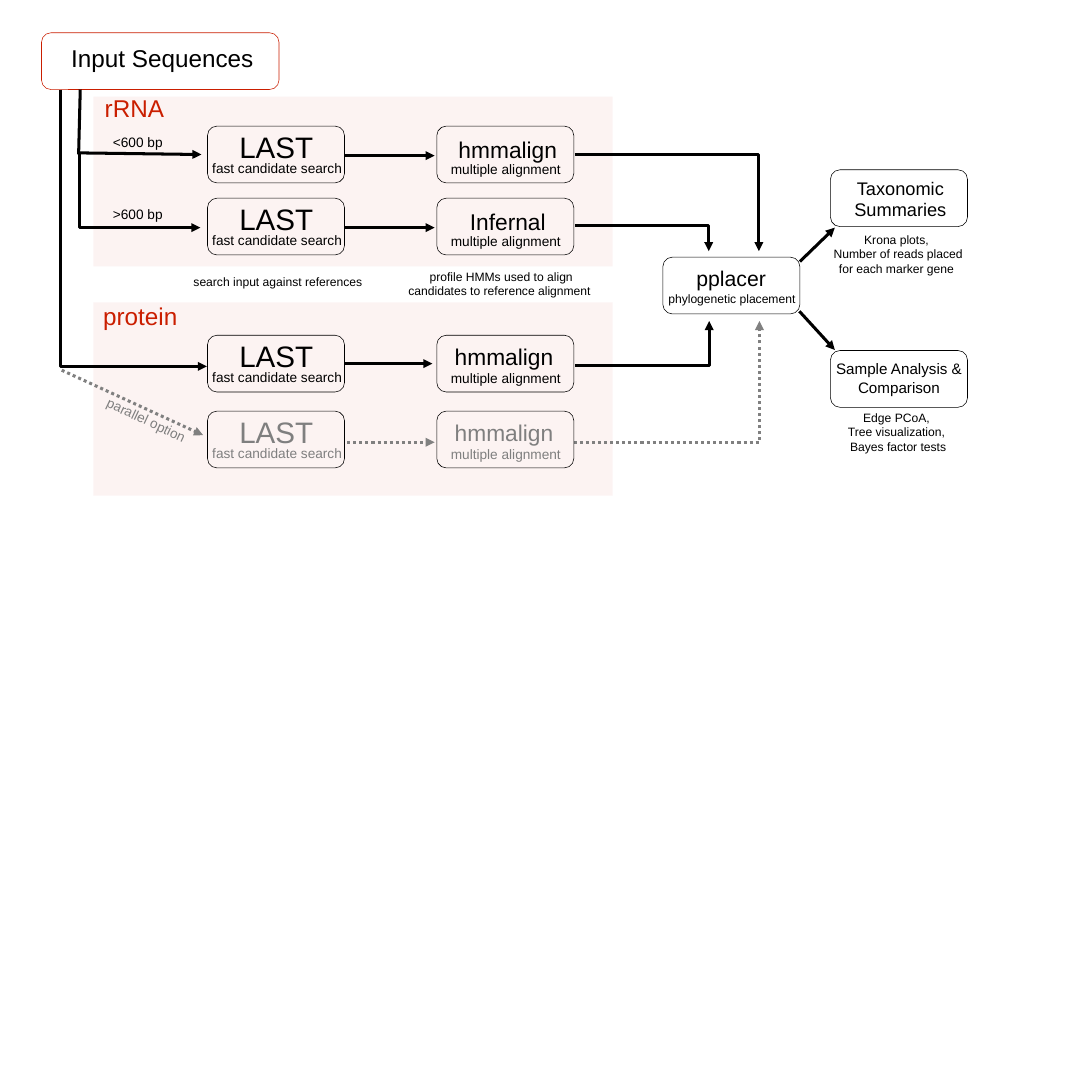
from dataclasses import dataclass
from typing import Any

from lxml import etree
from pptx import Presentation
from pptx.dml.color import RGBColor
from pptx.enum.dml import MSO_LINE
from pptx.enum.shapes import MSO_CONNECTOR, MSO_SHAPE
from pptx.enum.text import MSO_ANCHOR, MSO_AUTO_SIZE, PP_ALIGN
from pptx.oxml.ns import qn
from pptx.util import Inches, Pt

RECTANGLE, ROUNDED = MSO_SHAPE.RECTANGLE, MSO_SHAPE.ROUNDED_RECTANGLE
STRAIGHT, ELBOW = MSO_CONNECTOR.STRAIGHT, MSO_CONNECTOR.ELBOW
LEFT, CENTER = PP_ALIGN.LEFT, PP_ALIGN.CENTER
DOTTED = MSO_LINE.ROUND_DOT
TITLE_ONLY = 5
BOX_WIDTH, BOX_HEIGHT = 2.51, 1.04
SEARCH_LEFT, ALIGN_LEFT = 3.8, 8.0


@dataclass(frozen=True)
class Theme:
    """Colours, font, type sizes and line widths of the diagram."""
    font: str = "Arial"
    black: str = "000000"
    red: str = "CA1E00"
    grey_text: str = "7F7F7F"
    grey_line: str = "808080"
    tint: int = 5
    section: int = 32
    search: int = 39
    aligner: int = 30
    placer: int = 28
    summary: int = 24
    analysis: int = 20
    caption: int = 18
    note: int = 16
    outline: float = 0.75
    flow: float = 4


THEME = Theme()


@dataclass(frozen=True)
class Area:
    """A rectangle in inches."""
    left: float
    top: float
    width: float
    height: float

    def lengths(self) -> list[int]:
        """Return the rectangle as slide lengths."""
        return [Inches(value) for value in (self.left, self.top, self.width, self.height)]


@dataclass(frozen=True)
class Label:
    """Text set in one size and colour."""
    area: Area
    lines: tuple[str, ...]
    size: int
    color: str = THEME.black
    align: PP_ALIGN = CENTER
    rotation: float = 0


@dataclass(frozen=True)
class Lane:
    """A search box followed by an aligner box."""
    top: float
    aligner: str
    shift: float
    drop: float
    color: str = THEME.black


@dataclass(frozen=True)
class Flow:
    """A line between two points; bend is the share of the width before the turn."""
    start: tuple[float, float]
    end: tuple[float, float]
    bend: float | None = None
    dotted: bool = False
    arrow: bool = True


BANDS = [Area(1.71, 1.77, 9.51, 3.11), Area(1.71, 5.54, 9.51, 3.54)]

LANES = [
    Lane(2.31, "hmmalign", 0.19, 0.13),
    Lane(3.63, "Infernal", 0.19, 0.13),
    Lane(6.14, "hmmalign", 0.12, 0.09),
    Lane(7.53, "hmmalign", 0.12, 0.09, THEME.grey_text),
]

RESULT_BOXES = [Area(left, top, BOX_WIDTH, BOX_HEIGHT)
                for left, top in ((12.14, 4.71), (15.21, 3.11), (15.21, 6.42))]

TITLE = Label(Area(1.05, 0.74, 3.85, 0.64), ("Input Sequences",), THEME.section)

LABELS = [
    Label(Area(1.82, 1.65, 1.5, 0.64), ("rRNA",), THEME.section, THEME.red, LEFT),
    Label(Area(1.79, 5.46, 1.88, 0.64), ("protein",), THEME.section, THEME.red, LEFT),
    Label(Area(1.97, 2.4, 1.43, 0.4), ("<600 bp",), THEME.caption, align=LEFT),
    Label(Area(1.97, 3.73, 1.43, 0.4), (">600 bp",), THEME.caption, align=LEFT),
    Label(Area(1.8, 7.51, 1.86, 0.4), ("parallel option",), THEME.caption,
          THEME.grey_text, LEFT, 25.1),
    Label(Area(3.12, 4.98, 3.94, 0.64), ("search input against references",), THEME.note),
    Label(Area(7.26, 4.88, 3.84, 0.64),
          ("profile HMMs used to align candidates to reference alignment ",), THEME.note),
    Label(Area(12.28, 4.81, 2.22, 0.57), ("pplacer",), THEME.placer),
    Label(Area(12.06, 5.28, 2.69, 0.37), ("phylogenetic placement",), THEME.note),
    Label(Area(15.38, 3.19, 2.22, 0.91), ("Taxonomic Summaries",), THEME.summary),
    Label(Area(15.21, 6.54, 2.51, 0.77), ("Sample Analysis & Comparison",), THEME.analysis),
    Label(Area(15.08, 4.2, 2.74, 1.18),
          ("Krona plots, ", "Number of reads placed for each marker gene "), THEME.note),
    Label(Area(15.08, 7.46, 2.74, 1.18),
          ("Edge PCoA, ", "Tree visualization, ", "Bayes factor tests"), THEME.note),
]

FLOWS = [
    Flow((1.11, 1.64), (3.79, 6.71), bend=0),
    Flow((1.47, 1.64), (1.44, 2.83), arrow=False),
    Flow((1.44, 2.8), (3.69, 2.83)),
    Flow((1.45, 2.8), (3.67, 4.17), bend=0),
    Flow((1.13, 6.78), (3.72, 7.97), dotted=True),
    Flow((6.31, 2.85), (7.96, 2.85)),
    Flow((6.31, 4.17), (7.96, 4.17)),
    Flow((6.31, 6.66), (7.92, 6.66)),
    Flow((6.36, 8.1), (7.96, 8.1), dotted=True),
    Flow((10.53, 2.83), (13.9, 4.6), bend=1),
    Flow((10.53, 4.13), (12.98, 4.6), bend=1),
    Flow((10.53, 6.7), (12.99, 5.88), bend=1),
    Flow((10.51, 8.11), (13.91, 5.88), bend=1, dotted=True),
    Flow((14.65, 4.79), (15.29, 4.17)),
    Flow((14.64, 5.7), (15.29, 6.41)),
]


def draw_band(shapes: Any, area: Area) -> None:
    """Draw a pale red background band."""
    band = shapes.add_shape(RECTANGLE, *area.lengths())
    band.shadow.inherit = False
    band.line.fill.background()
    band.fill.solid()
    band.fill.fore_color.rgb = RGBColor.from_string(THEME.red)
    color = band.fill._xPr.find(f"{qn('a:solidFill')}/{qn('a:srgbClr')}")
    etree.SubElement(color, qn("a:alpha"), val=str(THEME.tint * 1000))


def draw_box(shapes: Any, area: Area, color: str = THEME.black) -> None:
    """Draw an unfilled rounded box."""
    box = shapes.add_shape(ROUNDED, *area.lengths())
    box.shadow.inherit = False
    box.fill.background()
    box.line.color.rgb = RGBColor.from_string(color)
    box.line.width = Pt(THEME.outline)


def fill_label(shape: Any, label: Label) -> None:
    """Place a text shape and write its label run by run."""
    shape.left, shape.top, shape.width, shape.height = label.area.lengths()
    shape.rotation = label.rotation
    frame = shape.text_frame
    frame.word_wrap = True
    frame.auto_size = MSO_AUTO_SIZE.NONE
    frame.vertical_anchor = MSO_ANCHOR.TOP
    for index, line in enumerate(label.lines):
        paragraph = frame.add_paragraph() if index else frame.paragraphs[0]
        paragraph.alignment = label.align
        run = paragraph.add_run()
        run.text = line
        run.font.name = THEME.font
        run.font.size = Pt(label.size)
        run.font.color.rgb = RGBColor.from_string(label.color)


def draw_label(shapes: Any, label: Label) -> None:
    """Add a text box holding a label."""
    fill_label(shapes.add_textbox(*label.area.lengths()), label)


def draw_lane(shapes: Any, lane: Lane) -> None:
    """Draw the search and aligner boxes of one lane."""
    top, color = lane.top, lane.color
    for left in (SEARCH_LEFT, ALIGN_LEFT):
        draw_box(shapes, Area(left, top, BOX_WIDTH, BOX_HEIGHT))
    for area, text, size in (
        (Area(SEARCH_LEFT + 0.15, top, 2.22, 0.76), "LAST", THEME.search),
        (Area(SEARCH_LEFT - 0.17, top + 0.56, 2.89, 0.4), "fast candidate search", THEME.caption),
        (Area(ALIGN_LEFT + lane.shift, top + lane.drop, 2.22, 0.61), lane.aligner, THEME.aligner),
        (Area(ALIGN_LEFT, top + 0.58, 2.53, 0.4), "multiple alignment", THEME.caption),
    ):
        draw_label(shapes, Label(area, (text,), size, color))


def draw_flow(shapes: Any, flow: Flow) -> None:
    """Draw a straight or bent flow line with its arrowhead."""
    kind = STRAIGHT if flow.bend is None else ELBOW
    points = [Inches(value) for value in flow.start + flow.end]
    connector = shapes.add_connector(kind, *points)
    connector.line.width = Pt(THEME.flow)
    color = THEME.grey_line if flow.dotted else THEME.black
    connector.line.color.rgb = RGBColor.from_string(color)
    if flow.dotted:
        connector.line.dash_style = DOTTED
    properties = connector._element.spPr
    if flow.arrow:
        etree.SubElement(properties.find(qn("a:ln")), qn("a:tailEnd"), type="triangle")
    if flow.bend is not None:
        guides = properties.find(f"{qn('a:prstGeom')}/{qn('a:avLst')}")
        etree.SubElement(guides, qn("a:gd"), name="adj1", fmla=f"val {flow.bend * 100000}")
    etree.SubElement(properties, qn("a:effectLst"))


def main() -> None:
    """Build the workflow slide and save it."""
    presentation = Presentation()
    presentation.slide_width = presentation.slide_height = Inches(20)
    slide = presentation.slides.add_slide(presentation.slide_layouts[TITLE_ONLY])
    shapes = slide.shapes
    for band in BANDS:
        draw_band(shapes, band)
    draw_box(shapes, Area(0.76, 0.6, 4.35, BOX_HEIGHT), THEME.red)
    fill_label(shapes.title, TITLE)
    for flow in FLOWS:
        draw_flow(shapes, flow)
    for lane in LANES:
        draw_lane(shapes, lane)
    for area in RESULT_BOXES:
        draw_box(shapes, area)
    for label in LABELS:
        draw_label(shapes, label)
    presentation.save("out.pptx")


main()
